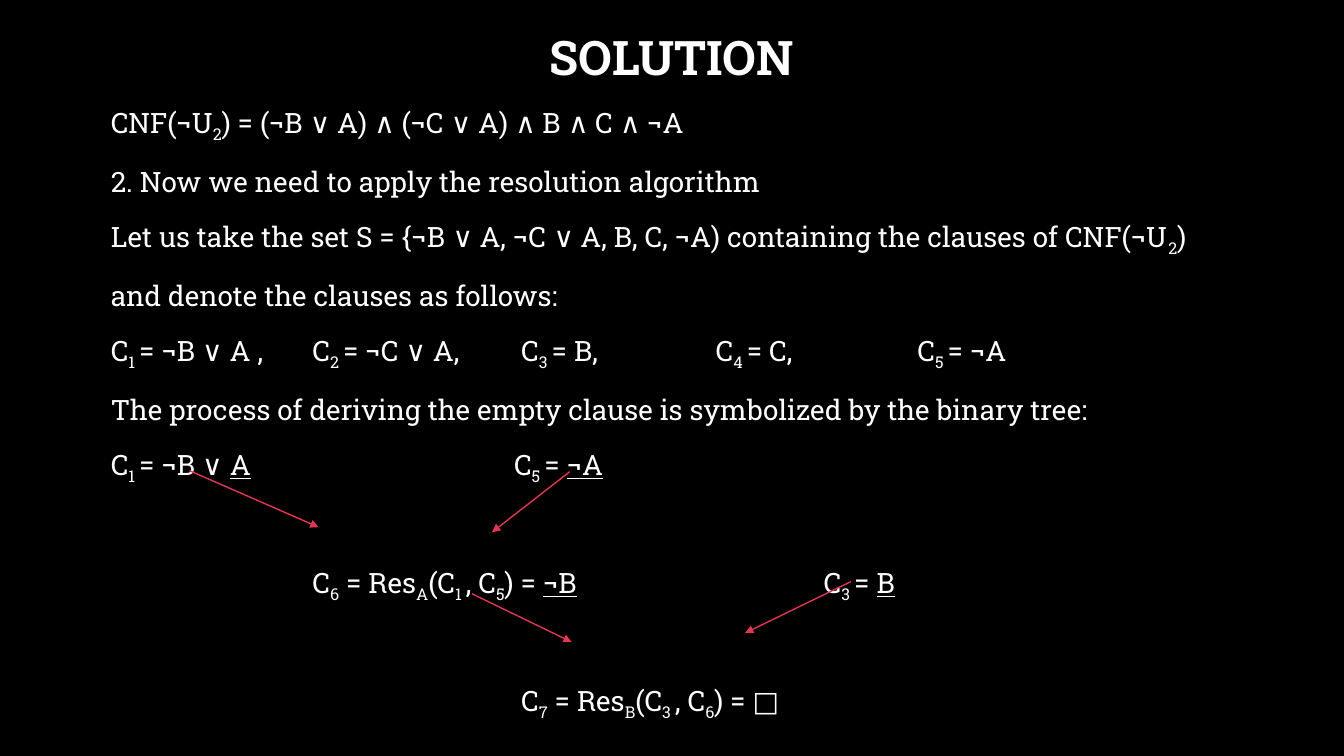
from lxml.etree import SubElement
from pptx import Presentation
from pptx.dml.color import RGBColor
from pptx.enum.shapes import MSO_CONNECTOR
from pptx.enum.text import MSO_ANCHOR, PP_ALIGN
from pptx.oxml.ns import qn
from pptx.util import Inches, Pt

FONT = "Roboto Slab"
WHITE, BLACK, RED = "FFFFFF", "000000", "E03754"
GAP, TREE_GAP = 10, 51.4

# Pieces are split by "|"; "_" starts a subscript and "*" an underlined piece.
# Each line: text, tab stops in inches, space before in points.
LINES = [
    ("CNF(¬U|_2|) = (¬B ∨ A) ∧ (¬C ∨ A) ∧ B ∧ C ∧ ¬A", [], GAP),
    ("2. Now we need to apply the resolution algorithm", [], GAP),
    ("Let us take the set S = {¬B ∨ A, ¬C ∨ A, B, C, ¬A) containing "
     "the clauses of CNF(¬U|_2|)", [], GAP),
    ("and denote the clauses as follows:", [], GAP),
    ("C|_1 |= ¬B ∨ A ,\tC|_2 |= ¬C ∨ A,\tC|_3 |= B,\tC|_4 |= C,\tC|_5 |= ¬A",
     [2, 4.07, 6, 8], GAP),
    ("The process of deriving the empty clause is symbolized by "
     "the binary tree:", [], GAP),
    ("C|_1 |= ¬B ∨ |*A|\tC|_5 |= |*¬A", [4], GAP),
    ("\tC|_6| = Res|_A|(C|_1 |, C|_5|) = |*¬B|\tC|_3 |= |*B", [2, 7.07], TREE_GAP),
    ("\tC|_7| = Res|_B|(C|_3 |, C|_6|) = □", [4.07], TREE_GAP),
]

ARROWS = [
    (1.88, 4.67, 3.16, 5.23),
    (5.65, 4.68, 4.88, 5.28),
    (4.68, 5.89, 5.67, 6.37),
    (8.44, 5.77, 7.39, 6.28),
]


def color(code):
    return RGBColor.from_string(code)


def add_box(slide, left, top, width, height, anchor):
    box = slide.shapes.add_textbox(*map(Inches, (left, top, width, height)))
    frame = box.text_frame
    frame.word_wrap = True
    frame.vertical_anchor = anchor
    return frame


def add_run(para, text, **style):
    run = para.add_run()
    run.text = text
    for name, value in {"name": FONT, **style}.items():
        setattr(run.font, name, value)
    run.font.color.rgb = color(WHITE)
    return run


def set_tabs(para, stops):
    if stops:
        tabs = SubElement(para._p.get_or_add_pPr(), qn("a:tabLst"))
        for stop in stops:
            SubElement(tabs, qn("a:tab"), pos=str(Inches(stop)), algn="l")


def add_title(slide, text):
    frame = add_box(slide, 1, 0.28, 11.32, 0.64, MSO_ANCHOR.MIDDLE)
    para = frame.paragraphs[0]
    para.alignment = PP_ALIGN.CENTER
    para.line_spacing = 0.9
    add_run(para, text, size=Pt(34), bold=True)


def add_line(para, text, stops, gap):
    para.line_spacing = 1.2
    para.space_before = Pt(gap)
    set_tabs(para, stops)
    for piece in text.split("|"):
        mark = piece[:1]
        plain = piece[1:] if mark in ("_", "*") else piece
        run = add_run(para, plain, size=Pt(20), underline=mark == "*")
        if mark == "_":
            run._r.get_or_add_rPr().set("baseline", "-25000")


def add_body(slide):
    frame = add_box(slide, 1, 0.92, 11.32, 6.44, MSO_ANCHOR.TOP)
    for i, line in enumerate(LINES):
        para = frame.add_paragraph() if i else frame.paragraphs[0]
        add_line(para, *line)


def add_arrow(slide, ends):
    arrow = slide.shapes.add_connector(MSO_CONNECTOR.STRAIGHT, *map(Inches, ends))
    arrow.line.color.rgb = color(RED)
    arrow.line.width = Pt(1)
    SubElement(arrow.line._get_or_add_ln(), qn("a:tailEnd"), type="triangle")
    SubElement(arrow._element.spPr, qn("a:effectLst"))


def main():
    deck = Presentation()
    deck.slide_width, deck.slide_height = Inches(13.33), Inches(7.5)
    slide = deck.slides.add_slide(deck.slide_layouts[6])
    fill = slide.background.fill
    fill.solid()
    fill.fore_color.rgb = color(BLACK)
    add_title(slide, "SOLUTION")
    add_body(slide)
    for ends in ARROWS:
        add_arrow(slide, ends)
    deck.save("out.pptx")


if __name__ == "__main__":
    main()
